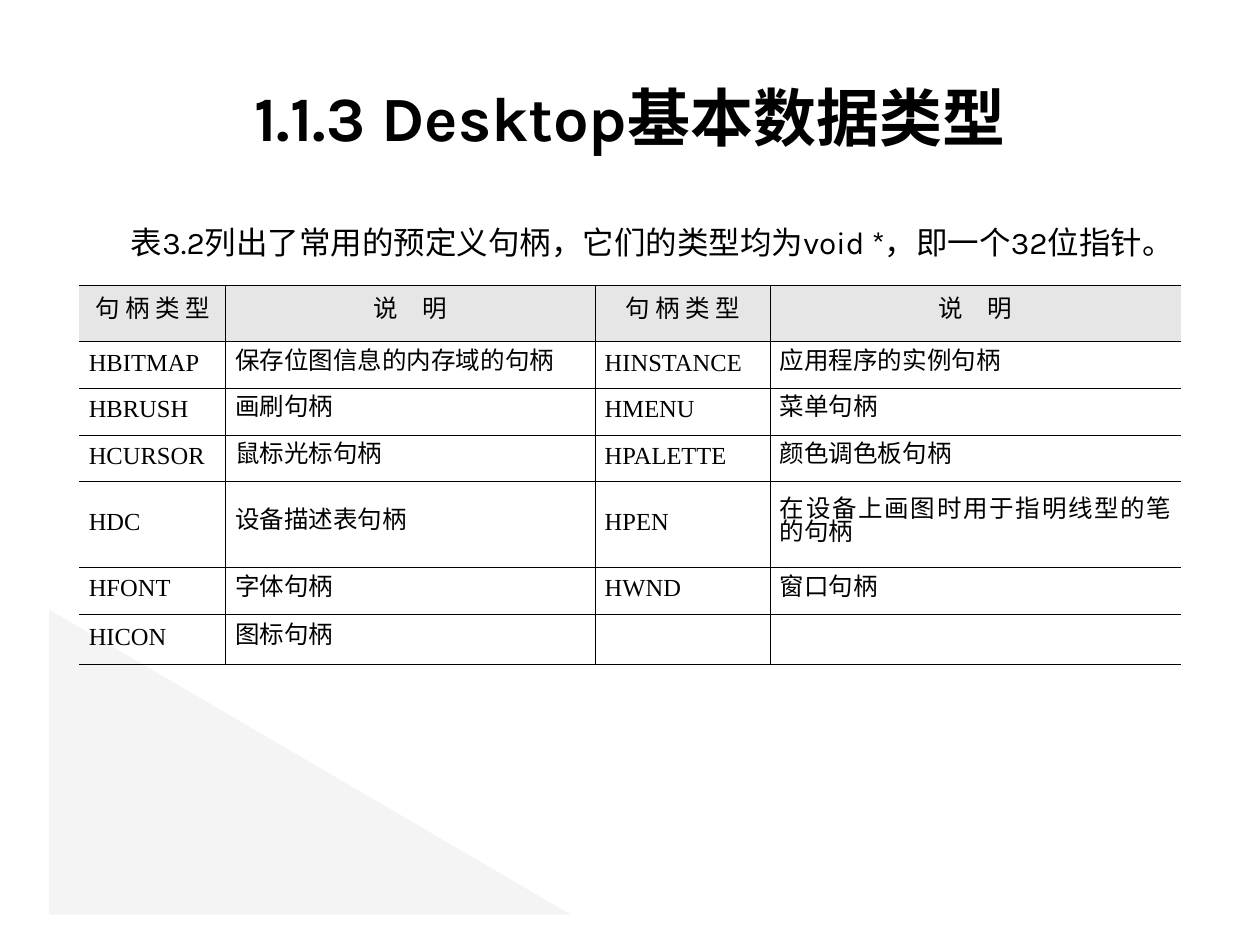
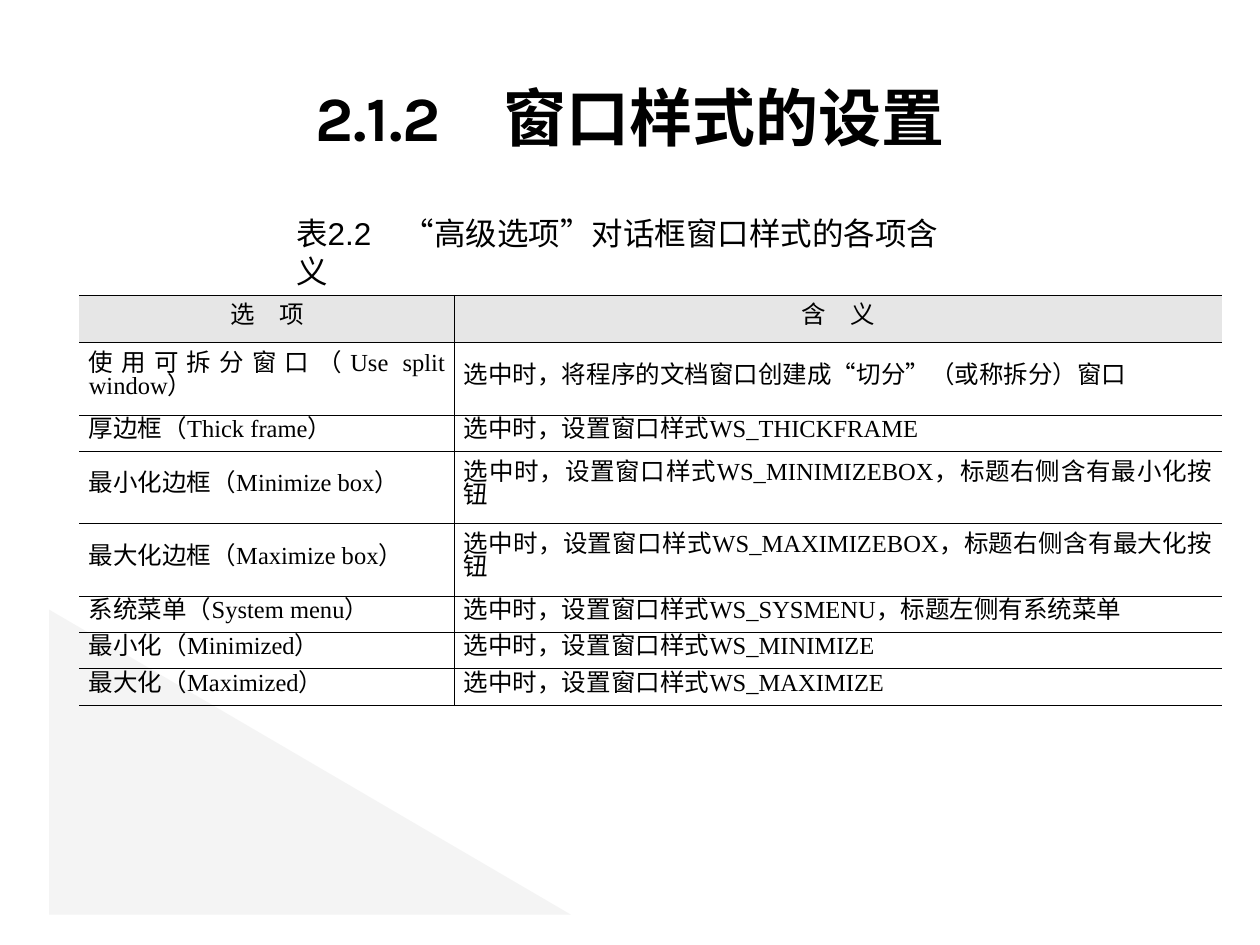
import pptx
import pptx.dml.color
import pptx.enum.shapes
import pptx.enum.text
import pptx.oxml
import pptx.oxml.ns
import pptx.util

Cm = pptx.util.Cm
Pt = pptx.util.Pt
ALIGN = pptx.enum.text.PP_ALIGN
ANCHOR = pptx.enum.text.MSO_ANCHOR
NAMESPACE = pptx.oxml.ns.nsdecls("a")

BLACK = "000000"
HEADER_GREY = "E6E6E6"
CORNER_GREY = "F2F2F2"
TABLE_LEFT = 1.6
THIN, MIDDLE = 0.45, 0.75

HANDLE_ROWS = [
    ["句 柄 类 型", "说　明", "句 柄 类 型", "说　明"],
    ["HBITMAP", "保存位图信息的内存域的句柄", "HINSTANCE", "应用程序的实例句柄"],
    ["HBRUSH", "画刷句柄", "HMENU", "菜单句柄"],
    ["HCURSOR", "鼠标光标句柄", "HPALETTE", "颜色调色板句柄"],
    ["HDC", "设备描述表句柄", "HPEN", "在设备上画图时用于指明线型的笔的句柄"],
    ["HFONT", "字体句柄", "HWND", "窗口句柄"],
    ["HICON", "图标句柄", "", ""],
]
STYLE_ROWS = [
    ["选　项", "含　义"],
    ["使用可拆分窗口（Use split window）", "选中时，将程序的文档窗口创建成“切分”（或称拆分）窗口"],
    ["厚边框（Thick frame）", "选中时，设置窗口样式WS_THICKFRAME"],
    ["最小化边框（Minimize box）", "选中时，设置窗口样式WS_MINIMIZEBOX，标题右侧含有最小化按钮"],
    ["最大化边框（Maximize box）", "选中时，设置窗口样式WS_MAXIMIZEBOX，标题右侧含有最大化按钮"],
    ["系统菜单（System menu）", "选中时，设置窗口样式WS_SYSMENU，标题左侧有系统菜单"],
    ["最小化（Minimized）", "选中时，设置窗口样式WS_MINIMIZE"],
    ["最大化（Maximized）", "选中时，设置窗口样式WS_MAXIMIZE"],
]


def color(value):
    return pptx.dml.color.RGBColor.from_string(value)


def write_text(frame, text, font="Karla", size=18, bold=False, align=ALIGN.LEFT, spacing=None):
    para = frame.paragraphs[0]
    para.alignment = align
    if spacing:
        para.line_spacing = Pt(spacing)
    span = para.add_run()
    span.text = text
    span.font.name = font
    span.font.size = Pt(size)
    span.font.bold = bold
    span.font.color.rgb = color(BLACK)


def add_corner(page):
    """Put the pale corner triangle on the layout, behind everything."""
    corner = page.shapes.add_shape(
        pptx.enum.shapes.MSO_SHAPE.RIGHT_TRIANGLE, Cm(0.99), Cm(12.29), Cm(10.52), Cm(6.15))
    corner.shadow.inherit = False
    corner.line.fill.background()
    corner.fill.solid()
    corner.fill.fore_color.rgb = color(CORNER_GREY)
    shade = corner.element.find(".//" + pptx.oxml.ns.qn("a:srgbClr"))
    shade.append(pptx.oxml.parse_xml(f'<a:alpha {NAMESPACE} val="83000"/>'))
    corner.element.nvSpPr.cNvPr.set("id", "20")
    page.slide_layout.shapes.element.insert(2, corner.element)


def add_title(page, text):
    title = page.shapes.title
    title.left, title.top, title.width, title.height = Cm(1.27), Cm(0.76), Cm(22.86), Cm(3.18)
    title.text_frame.vertical_anchor = ANCHOR.MIDDLE
    write_text(title.text_frame, text, size=36, bold=True, align=ALIGN.CENTER)


def add_caption(page, text, left, top, width, height, font="Karla"):
    box = page.shapes.add_textbox(Cm(left), Cm(top), Cm(width), Cm(height))
    box.text_frame.word_wrap = True
    write_text(box.text_frame, text, font=font)


def set_border(cell, side, width):
    """Draw one side of a cell; a width of 0 leaves it open."""
    paint = f'<a:solidFill><a:srgbClr val="{BLACK}"/></a:solidFill>' if width else "<a:noFill/>"
    cell._tc.get_or_add_tcPr().append(pptx.oxml.parse_xml(
        f'<a:ln{side} {NAMESPACE} w="{int(Pt(width))}">{paint}</a:ln{side}>'))


def format_cell(cell, text, is_header, left_line, right_line):
    for side, width in (("L", left_line), ("R", right_line), ("T", THIN), ("B", THIN)):
        set_border(cell, side, width)
    if is_header:
        cell.fill.solid()
        cell.fill.fore_color.rgb = color(HEADER_GREY)
    else:
        cell.fill.background()
    cell.vertical_anchor = ANCHOR.MIDDLE
    cell.margin_left = cell.margin_right = Cm(0.19)
    if text:
        write_text(cell.text_frame, text, font="Times New Roman", size=14, spacing=13,
                   align=ALIGN.CENTER if is_header else ALIGN.JUSTIFY)


def add_ruled_table(page, rows, top, widths, heights, upright_lines):
    """upright_lines holds the widths of the lines between columns."""
    table = page.shapes.add_table(
        len(rows), len(widths), Cm(TABLE_LEFT), Cm(top),
        Cm(sum(widths)), Cm(sum(heights))).table
    table.first_row = table.horz_banding = False
    for column, width in zip(table.columns, widths):
        column.width = Cm(width)
    for row, height in zip(table.rows, heights):
        row.height = Cm(height)
    lines = [0, *upright_lines, 0]
    for r, texts in enumerate(rows):
        for c, text in enumerate(texts):
            format_cell(table.cell(r, c), text, r == 0, lines[c], lines[c + 1])


def main():
    deck = pptx.Presentation()
    deck.slide_width, deck.slide_height = Cm(25.4), Cm(19.05)
    layout = deck.slide_layouts[5]

    handles = deck.slides.add_slide(layout)
    add_corner(handles)
    add_title(handles, "1.1.3 Desktop基本数据类型")
    add_caption(handles, "表3.2列出了常用的预定义句柄，它们的类型均为void *，即一个32位指针。",
                2.39, 4.37, 23.01, 1.02)
    add_ruled_table(handles, HANDLE_ROWS, 5.76, [2.95, 7.45, 3.53, 8.28],
                    [1.13] + [0.94] * 3 + [1.73] + [0.94] * 2, [THIN, MIDDLE, THIN])

    styles = deck.slides.add_slide(layout)
    add_title(styles, "2.1.2　窗口样式的设置")
    add_ruled_table(styles, STYLE_ROWS, 5.95, [7.56, 15.47],
                    [0.96, 1.46, 0.73, 1.46, 1.46] + [0.73] * 3, [THIN])
    add_caption(styles, "表2.2　“高级选项”对话框窗口样式的各项含义",
                5.72, 4.2, 13.69, 1.78, font="Arial")

    deck.save("out.pptx")


if __name__ == "__main__":
    main()
